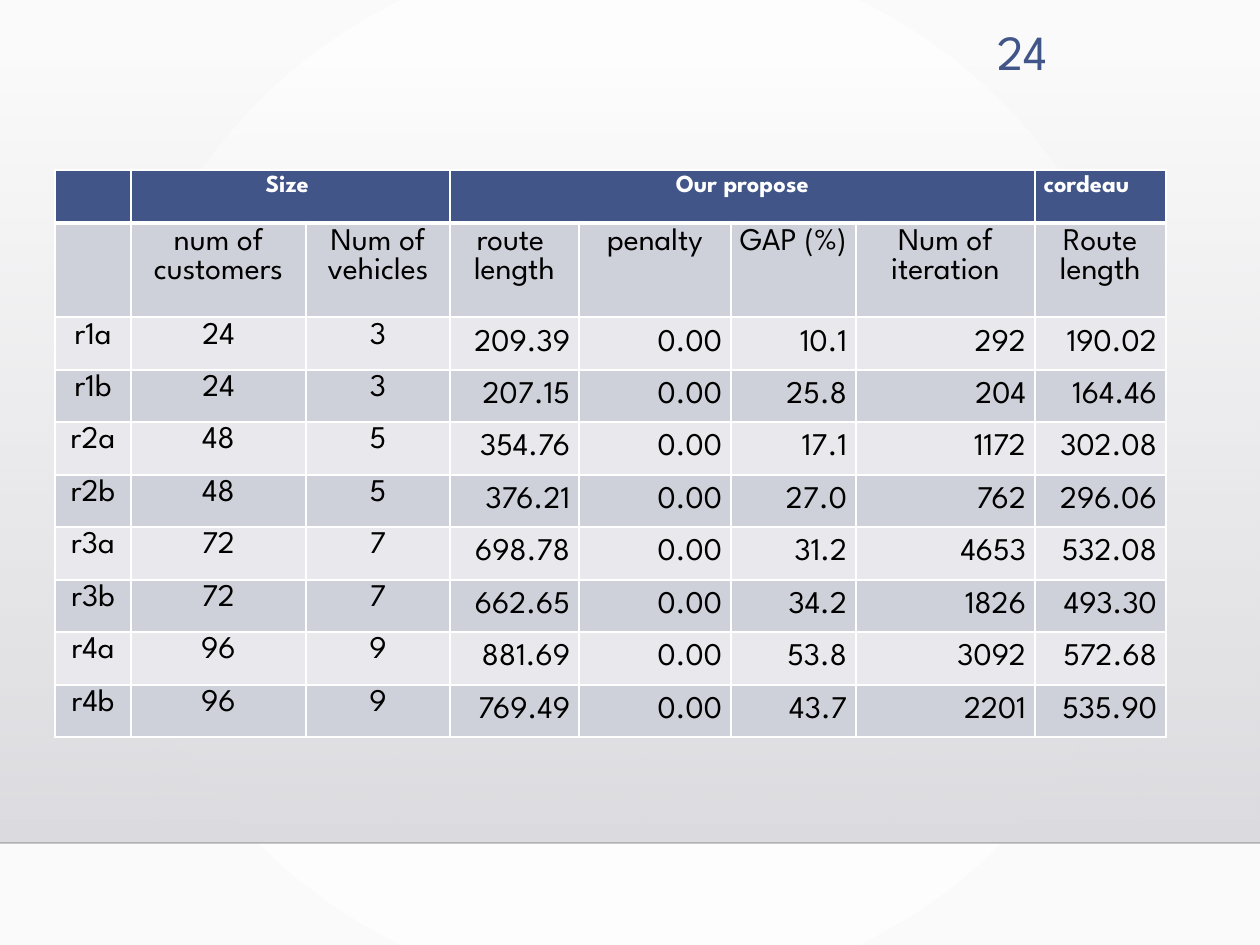
from lxml import etree
from pptx import Presentation
from pptx import util as u
from pptx.dml.color import RGBColor
from pptx.enum import shapes, text
from pptx.oxml import parse_xml
from pptx.oxml.ns import nsdecls, qn

PX = 914400 // 126
FONT = "League Spartan"
COLORS = {
    "navy": "415588", "white": "FFFFFF", "black": "000000",
    "dark_band": "CFD1DA", "light_band": "E9E9ED",
    "page_edge": "FAFAFA", "panel_top": "DCDCE0", "panel_bottom": "DEDEE2",
    "rule": "000001",
}
PAGE_NUMBER = "24"
# first column, last column, text
GROUPS = [(0, 0, ""), (1, 2, "Size "), (3, 6, "Our propose"), (7, 7, "cordeau")]
HEADINGS = ["", "num of\ncustomers", "Num of\nvehicles", "route \nlength",
            "penalty", "GAP (%)", "Num of\niteration", "Route\nlength"]
RESULTS = [
    ("r1a", "24", "3", "209.39", "0.00", "10.1", "292", "190.02"),
    ("r1b", "24", "3", "207.15", "0.00", "25.8", "204", "164.46"),
    ("r2a", "48", "5", "354.76", "0.00", "17.1", "1172", "302.08"),
    ("r2b", "48", "5", "376.21", "0.00", "27.0", "762", "296.06"),
    ("r3a", "72", "7", "698.78", "0.00", "31.2", "4653", "532.08"),
    ("r3b", "72", "7", "662.65", "0.00", "34.2", "1826", "493.30"),
    ("r4a", "96", "9", "881.69", "0.00", "53.8", "3092", "572.68"),
    ("r4b", "96", "9", "769.49", "0.00", "43.7", "2201", "535.90"),
]
FIRST_MEASURE = 3  # columns from here on are right-aligned
COL_WIDTHS = [76, 175, 144, 129, 152, 125, 179, 131]
ROW_HEIGHTS = [53, 94] + [53, 52] * 4


def px(*values):
    return [v * PX for v in values]


def rgb(name):
    return RGBColor.from_string(COLORS[name])


def set_alpha(color_el, percent):
    etree.SubElement(color_el, qn("a:alpha")).set("val", str(percent * 1000))


def set_gradient(fill, names):
    fill.gradient()
    for stop, name, pos in zip(fill.gradient_stops, names, (0, 1)):
        stop.color.rgb = rgb(name)
        stop.position = pos


def write(tf, content, size, color, align, bold=False):
    """Put each line of content in its own paragraph."""
    for i, line in enumerate(content.split("\n")):
        p = tf.add_paragraph() if i else tf.paragraphs[0]
        p.alignment = align
        if line:
            r = p.add_run()
            r.text = line
            r.font.name, r.font.size, r.font.bold = FONT, u.Pt(size), bold
            r.font.color.rgb = rgb(color)


def style_cell(cell, fill, bottom=1):
    """Fill a cell and draw white borders, the bottom one in the given points."""
    cell.margin_left = cell.margin_right = u.Inches(0.07)
    cell.margin_top = cell.margin_bottom = u.Inches(0.04)
    cell.fill.solid()
    cell.fill.fore_color.rgb = rgb(fill)
    tc_pr = cell._tc.get_or_add_tcPr()
    for i, (side, width) in enumerate(zip("LRTB", (1, 1, 1, bottom))):
        tc_pr.insert(i, parse_xml(
            f'<a:ln{side} {nsdecls("a")} w="{u.Pt(width)}"><a:solidFill>'
            f'<a:srgbClr val="{COLORS["white"]}"/></a:solidFill></a:ln{side}>'))


def add_background(s):
    set_gradient(s.background.fill, ("white", "page_edge"))
    grad = s.background._cSld.find(".//" + qn("a:gradFill"))
    grad.replace(grad.find(qn("a:lin")), parse_xml(
        f'<a:path {nsdecls("a")} path="circle">'
        '<a:fillToRect l="50000" t="50000" r="50000" b="50000"/></a:path>'))

    panel = s.shapes.add_shape(shapes.MSO_SHAPE.RECTANGLE, *px(0, 64, 1260, 779))
    panel.shadow.inherit = False
    panel.line.fill.background()
    set_gradient(panel.fill, ("panel_top", "panel_bottom"))
    panel.fill.gradient_angle = 270
    first_stop = panel._element.spPr.find(".//" + qn("a:srgbClr"))
    set_alpha(first_stop, 0)

    rule = s.shapes.add_connector(shapes.MSO_CONNECTOR.STRAIGHT, *px(0, 843, 1260, 843))
    rule.line.color.rgb = rgb("rule")
    rule.line.width = u.Pt(1)
    sp_pr = rule._element.spPr
    set_alpha(sp_pr.find(".//" + qn("a:srgbClr")), 20)
    etree.SubElement(sp_pr, qn("a:effectLst"))


def add_results(s):
    frame = s.shapes.add_table(
        len(ROW_HEIGHTS), len(COL_WIDTHS),
        *px(55, 170, sum(COL_WIDTHS), sum(ROW_HEIGHTS)))
    table = frame.table
    for col, width in zip(table.columns, COL_WIDTHS):
        col.width = width * PX
    for row, height in zip(table.rows, ROW_HEIGHTS):
        row.height = height * PX

    for c in range(len(COL_WIDTHS)):
        style_cell(table.cell(0, c), "navy", bottom=3)
    for first, last, label in GROUPS:
        cell = table.cell(0, first)
        if last > first:
            cell.merge(table.cell(0, last))
        align = text.PP_ALIGN.CENTER if last > first else text.PP_ALIGN.LEFT
        write(cell.text_frame, label, 14, "white", align, bold=True)

    for r, values in enumerate([HEADINGS] + RESULTS, start=1):
        for c, value in enumerate(values):
            cell = table.cell(r, c)
            style_cell(cell, "dark_band" if r % 2 else "light_band")
            align = text.PP_ALIGN.CENTER
            if r > 1 and c >= FIRST_MEASURE:
                align = text.PP_ALIGN.RIGHT
                cell.vertical_anchor = text.MSO_ANCHOR.MIDDLE
            write(cell.text_frame, value, 18, "black", align)


def add_page_number(s):
    tf = s.shapes.add_textbox(*px(950, 18, 110, 69)).text_frame
    tf.word_wrap = True
    tf.vertical_anchor = text.MSO_ANCHOR.BOTTOM
    write(tf, PAGE_NUMBER, 28, "navy", text.PP_ALIGN.RIGHT)


def main():
    prs = Presentation()
    prs.slide_width, prs.slide_height = px(1260, 945)
    s = prs.slides.add_slide(prs.slide_layouts[6])
    add_background(s)
    add_results(s)
    add_page_number(s)
    prs.save("out.pptx")


if __name__ == "__main__":
    main()
